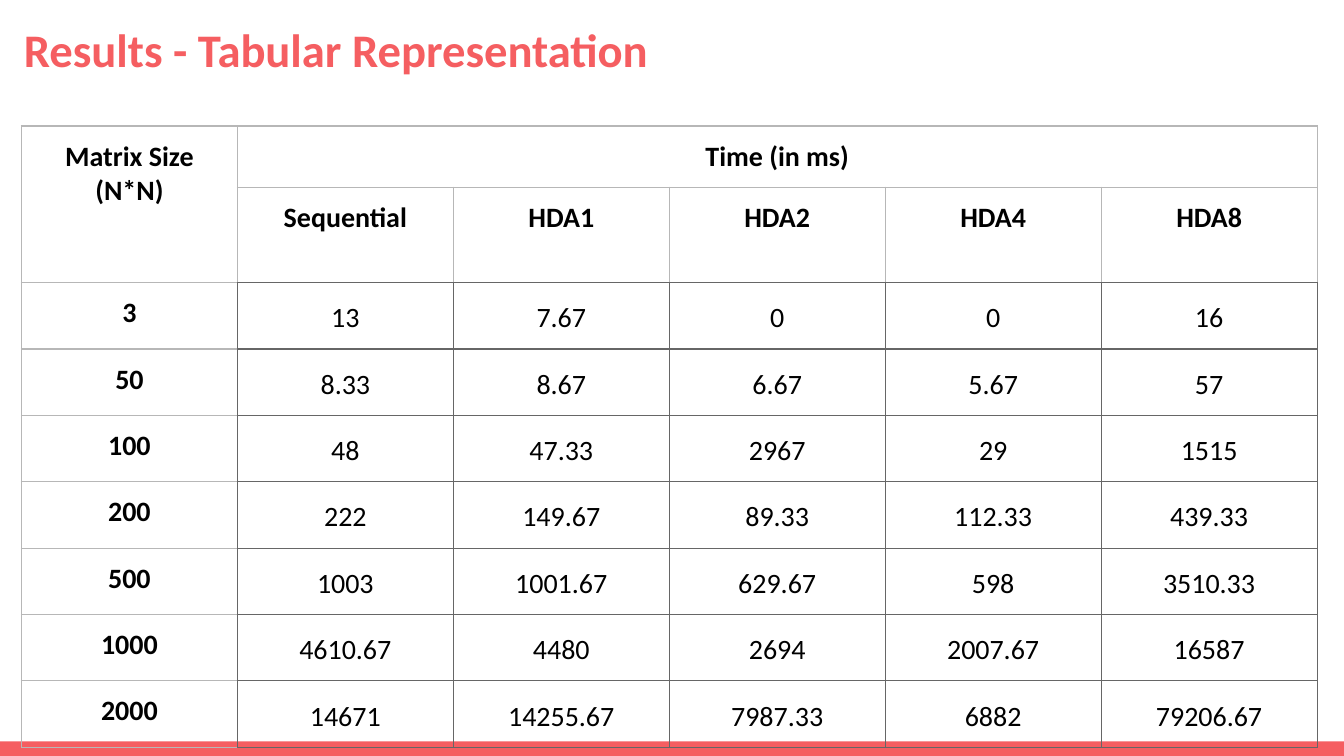
from lxml import etree
from pptx import Presentation
from pptx.dml.color import RGBColor
from pptx.enum.shapes import MSO_SHAPE
from pptx.enum.text import MSO_ANCHOR, PP_ALIGN
from pptx.oxml.ns import qn
from pptx.util import Pt

RECTANGLE = MSO_SHAPE.RECTANGLE
TOP = MSO_ANCHOR.TOP
LEFT = PP_ALIGN.LEFT
CENTER = PP_ALIGN.CENTER

FONT = "Calibri"
CORAL = "F55E61"
BLACK = "000000"
LIGHT_BORDER = "B7B7B7"
DARK_BORDER = "666666"

HEADER_ROWS = 2
TIME_COLUMNS = ["Sequential", "HDA1", "HDA2", "HDA4", "HDA8"]
RESULTS = [
    ["3", "13", "7.67", "0", "0", "16"],
    ["50", "8.33", "8.67", "6.67", "5.67", "57"],
    ["100", "48", "47.33", "2967", "29", "1515"],
    ["200", "222", "149.67", "89.33", "112.33", "439.33"],
    ["500", "1003", "1001.67", "629.67", "598", "3510.33"],
    ["1000", "4610.67", "4480", "2694", "2007.67", "16587"],
    ["2000", "14671", "14255.67", "7987.33", "6882", "79206.67"],
]
ROW_HEIGHTS = [32.7, 51] + [35.5] * len(RESULTS)


def color(hex_string):
    return RGBColor.from_string(hex_string)


def add_run(paragraph, text, size, hex_string, bold):
    run = paragraph.add_run()
    run.text = text
    run.font.name = FONT
    run.font.size = Pt(size)
    run.font.bold = bold
    run.font.color.rgb = color(hex_string)


def set_margins(target, horizontal, vertical):
    target.margin_left = target.margin_right = Pt(horizontal)
    target.margin_top = target.margin_bottom = Pt(vertical)


def add_footer_band(slide, left, top, width, height):
    band = slide.shapes.add_shape(RECTANGLE, Pt(left), Pt(top), Pt(width), Pt(height))
    band.shadow.inherit = False
    band.fill.solid()
    band.fill.fore_color.rgb = color(CORAL)
    band.line.fill.background()


def place_title(slide, left, top, width, height):
    title = slide.shapes.title
    title.left, title.top = Pt(left), Pt(top)
    title.width, title.height = Pt(width), Pt(height)
    frame = title.text_frame
    frame.word_wrap = True
    frame.vertical_anchor = TOP
    set_margins(frame, 7.2, 7.2)
    paragraph = frame.paragraphs[0]
    paragraph.alignment = LEFT
    add_run(paragraph, "Results - Tabular Representation", 25, CORAL, True)


def border_color(row, column, side):
    is_result = row >= HEADER_ROWS and column > 0
    is_label_edge = row >= HEADER_ROWS and side == "R"
    is_header_edge = row == HEADER_ROWS - 1 and column > 0 and side == "B"
    if is_result or is_label_edge or is_header_edge:
        return DARK_BORDER
    return LIGHT_BORDER


def set_borders(cell, row, column):
    properties = cell._tc.get_or_add_tcPr()
    for side in "LRTB":
        line = etree.SubElement(properties, qn(f"a:ln{side}"), w=str(Pt(0.75)))
        fill = etree.SubElement(line, qn("a:solidFill"))
        etree.SubElement(fill, qn("a:srgbClr"), val=border_color(row, column, side))


def fill_cell(cell, lines, is_result):
    set_margins(cell, 4.8 if is_result else 7.2, 7.2)
    frame = cell.text_frame
    for index, text in enumerate(lines):
        paragraph = frame.add_paragraph() if index else frame.paragraphs[0]
        paragraph.alignment = CENTER
        if is_result:
            paragraph.line_spacing = 1.15
            paragraph.space_before = paragraph.space_after = Pt(12)
        add_run(paragraph, text, 15, BLACK, not is_result)


def add_results_table(slide, left, top, width):
    column_count = len(TIME_COLUMNS) + 1
    table = slide.shapes.add_table(
        len(ROW_HEIGHTS), column_count, Pt(left), Pt(top), Pt(width), Pt(sum(ROW_HEIGHTS))
    ).table
    table.first_row = False
    table.horz_banding = False
    for column in table.columns:
        column.width = Pt(width / column_count)
    for row, height in zip(table.rows, ROW_HEIGHTS):
        row.height = Pt(height)

    table.cell(0, 0).merge(table.cell(1, 0))
    table.cell(0, 1).merge(table.cell(0, column_count - 1))
    texts = {(0, 0): ["Matrix Size", "(N*N)"], (0, 1): ["Time (in ms)"]}
    for column, name in enumerate(TIME_COLUMNS, 1):
        texts[1, column] = [name]
    for row, values in enumerate(RESULTS, HEADER_ROWS):
        for column, value in enumerate(values):
            texts[row, column] = [value]

    for row in range(len(ROW_HEIGHTS)):
        for column in range(column_count):
            cell = table.cell(row, column)
            set_borders(cell, row, column)
            cell.fill.background()
            if (row, column) in texts:
                is_result = row >= HEADER_ROWS and column > 0
                fill_cell(cell, texts[row, column], is_result)


def main():
    presentation = Presentation()
    presentation.slide_width = Pt(720)
    presentation.slide_height = Pt(405)
    slide = presentation.slides.add_slide(presentation.slide_layouts[5])
    add_footer_band(slide, 0, 397.2, 720, 7.8)
    place_title(slide, 5.6, 3.9, 671, 49)
    add_results_table(slide, 11.5, 67.5, 694.2)
    presentation.save("out.pptx")


if __name__ == "__main__":
    main()
